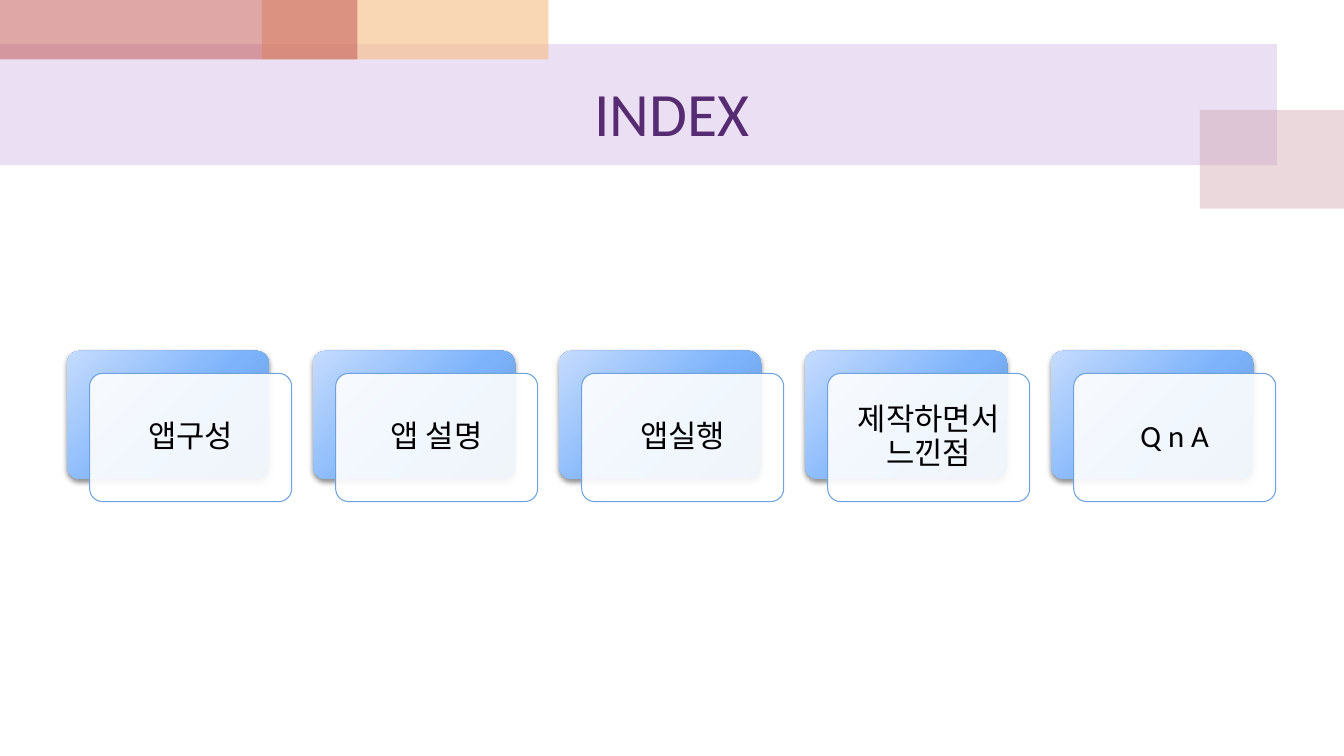
"""Build the INDEX slide: a title band with five layered topic cards."""
import dataclasses

import pptx
import pptx.dml.color
import pptx.enum.shapes
import pptx.enum.text
import pptx.oxml
import pptx.oxml.ns
import pptx.util

Cm = pptx.util.Cm
Pt = pptx.util.Pt
SHAPES = pptx.enum.shapes.MSO_SHAPE


@dataclasses.dataclass(frozen=True)
class Theme:
    font: str = "Calibri"
    title_size: int = 44
    topic_size: int = 22
    title: str = "562B71"
    topic: str = "000000"
    band: str = "BF98D8"
    rose: str = "CC9EAC"
    peach: str = "F5BC83"
    red: str = "C0504D"
    card: str = "FFFFFF"
    card_line: str = "6BA2DF"
    shadow: str = "000000"
    glow: tuple = ((0, "C5DBFD"), (55, "7DB3FB"), (100, "6497D0"))


class IndexSlide:
    def __init__(self, deck, theme):
        self.theme = theme
        self.slide = deck.slides.add_slide(deck.slide_layouts[5])

    def xml(self, markup):
        namespace = pptx.oxml.ns.nsdecls("a")
        return pptx.oxml.parse_xml(markup.replace(">", f" {namespace}>", 1))

    def apply(self, target, values):
        for name, value in values.items():
            setattr(target, name, value)

    def panel(self, kind, box, color, opacity):
        panel = self.slide.shapes.add_shape(kind, *map(Cm, box))
        panel.shadow.inherit = False
        panel.line.fill.background()
        panel.fill.solid()
        panel.fill.fore_color.rgb = pptx.dml.color.RGBColor.from_string(color)
        solid = panel._element.spPr.find(pptx.oxml.ns.qn("a:solidFill"))
        solid[0].append(self.xml(f'<a:alpha val="{opacity * 1000}"></a:alpha>'))
        return panel

    def label(self, shape, text, size, color, frame_format, paragraph_format):
        frame = shape.text_frame
        frame.text = text
        self.apply(frame, {
            "word_wrap": True,
            "auto_size": pptx.enum.text.MSO_AUTO_SIZE.NONE,
            "vertical_anchor": pptx.enum.text.MSO_ANCHOR.MIDDLE,
            **frame_format,
        })
        paragraph = frame.paragraphs[0]
        self.apply(paragraph, {
            "alignment": pptx.enum.text.PP_ALIGN.CENTER,
            "space_before": Pt(0),
            **paragraph_format,
        })
        font = paragraph.runs[0].font
        self.apply(font, {"name": self.theme.font, "size": Pt(size)})
        font.color.rgb = pptx.dml.color.RGBColor.from_string(color)

    def title(self, text, box):
        title = self.slide.shapes.title
        self.apply(title, dict(zip(("left", "top", "width", "height"), map(Cm, box))))
        self.label(title, text, self.theme.title_size, self.theme.title,
                   {}, {"space_after": Pt(6)})
        self.slide.shapes._spTree.append(title._element)

    def backing(self, box):
        backing = self.panel(SHAPES.ROUNDED_RECTANGLE, box, self.theme.card, 100)
        backing.adjustments[0] = 0.1
        properties = backing._element.spPr
        stops = "".join(
            f'<a:gs pos="{position * 1000}"><a:srgbClr val="{color}"/></a:gs>'
            for position, color in self.theme.glow)
        gradient = self.xml(
            f'<a:gradFill rotWithShape="1"><a:gsLst>{stops}</a:gsLst><a:path path="circle">'
            '<a:fillToRect l="-40000" t="-90000" r="140000" b="190000"/>'
            '</a:path></a:gradFill>')
        properties.replace(properties.find(pptx.oxml.ns.qn("a:solidFill")), gradient)
        properties.find(pptx.oxml.ns.qn("a:effectLst")).append(self.xml(
            f'<a:outerShdw blurRad="{Pt(4)}" dist="{Pt(2)}" dir="5400000" rotWithShape="0">'
            f'<a:srgbClr val="{self.theme.shadow}"><a:alpha val="45000"/></a:srgbClr>'
            '</a:outerShdw>'))

    def card(self, text, left, top, width, height, offset):
        self.backing((left, top, width, height))
        front = self.panel(SHAPES.ROUNDED_RECTANGLE,
                           (left + offset, top + offset, width, height),
                           self.theme.card, 90)
        front.adjustments[0] = 0.1
        front.line.color.rgb = pptx.dml.color.RGBColor.from_string(self.theme.card_line)
        front.line.width = Pt(0.75)
        margins = {f"margin_{side}": Cm(0.23) for side in ("left", "top", "right", "bottom")}
        self.label(front, text, self.theme.topic_size, self.theme.topic,
                   margins, {"line_spacing": 0.9})


def main():
    theme = Theme()
    deck = pptx.Presentation()
    deck.slide_width, deck.slide_height = Cm(33.87), Cm(19.05)
    index = IndexSlide(deck, theme)

    decorations = (
        ((0, 1.11, 32.18, 3.05), theme.band, 30),
        ((30.24, 2.77, 3.63, 2.49), theme.rose, 40),
        ((6.6, 0, 7.22, 1.5), theme.peach, 60),
        ((0, 0, 9.01, 1.5), theme.red, 50),
    )
    for box, color, opacity in decorations:
        index.panel(SHAPES.RECTANGLE, box, color, opacity)
    index.title("INDEX", (1.69, 1.5, 30.48, 2.66))

    topics = ("앱구성", "앱 설명", "앱실행", "제작하면서 느낀점", "Q n A")
    for position, topic in enumerate(topics):
        index.card(topic, 1.69 + 6.2 * position, 8.84, 5.09, 3.23, 0.57)
    deck.save("out.pptx")


if __name__ == "__main__":
    main()
